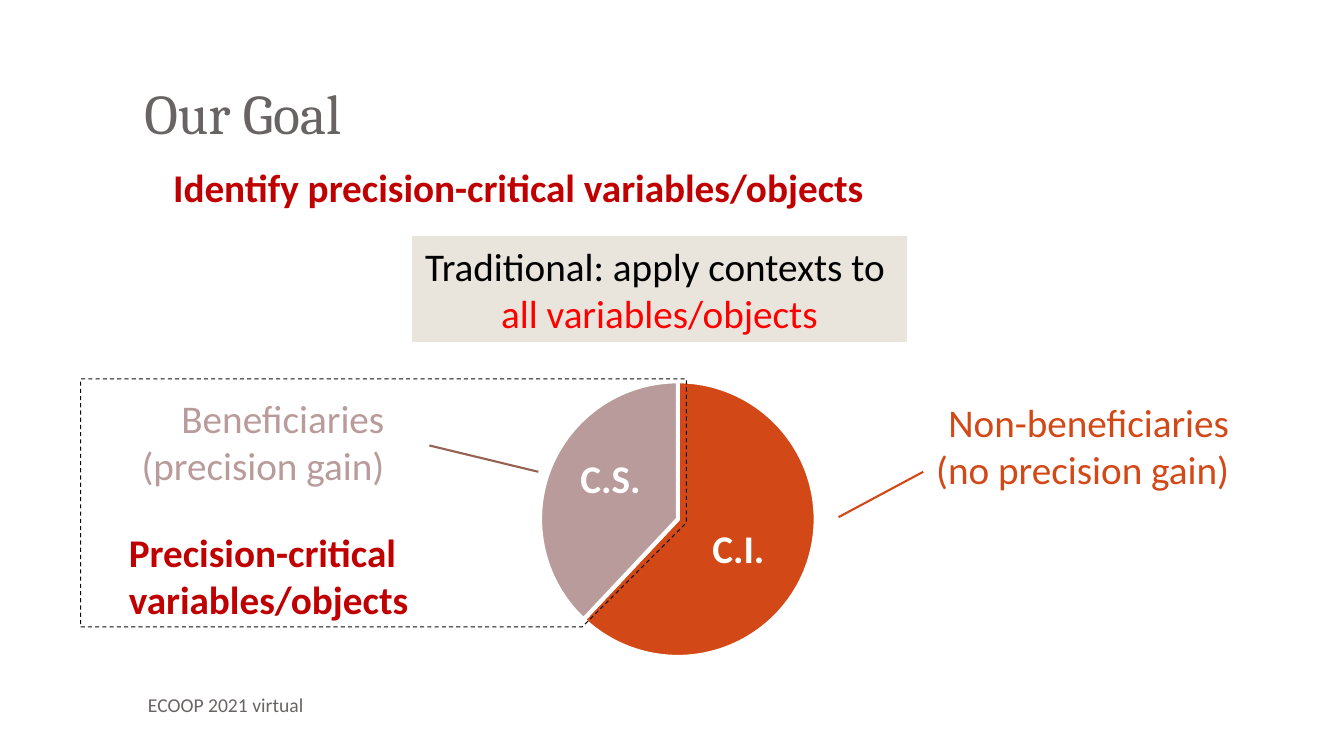
"""Build the "Our Goal" slide about precision-critical variables and objects."""
from dataclasses import dataclass

from lxml import etree
from pptx import Presentation
from pptx.chart.data import CategoryChartData
from pptx.dml.color import RGBColor as Color
from pptx.enum.chart import XL_CHART_TYPE as ChartType
from pptx.enum.dml import MSO_LINE as Dash
from pptx.enum.shapes import MSO_CONNECTOR as Connector, MSO_SHAPE as Preset
from pptx.enum.text import MSO_ANCHOR as Anchor, PP_ALIGN as Align
from pptx.oxml import parse_xml
from pptx.oxml.ns import nsdecls, qn
from pptx.util import Pt


@dataclass(frozen=True)
class Theme:
    heading_font: str = "Cambria"
    body_font: str = "Calibri"
    title_size: int = 40
    body_size: int = 28
    footer_size: int = 14
    chart_size: int = 10
    gray: str = "696464"
    black: str = "000000"
    white: str = "FFFFFF"
    red: str = "FF0000"
    crimson: str = "C00000"
    orange: str = "D34817"
    mauve: str = "B99B9B"
    brown: str = "956251"
    beige: str = "E9E5DC"
    outline: str = "0D0D0D"


theme = Theme()


def write(shape, lines, size=theme.body_size, font=theme.body_font, bold=False,
          align=Align.LEFT, anchor=Anchor.MIDDLE, wrap=True, right=7.2):
    """Fill a shape with (text, colour) lines."""
    frame = shape.text_frame
    frame.word_wrap = wrap
    frame.vertical_anchor = anchor
    frame.margin_right = Pt(right)
    for index, (text, color) in enumerate(lines):
        paragraph = frame.add_paragraph() if index else frame.paragraphs[0]
        paragraph.text = text
        paragraph.alignment = align
        paragraph.font.name = font
        paragraph.font.size = Pt(size)
        paragraph.font.bold = bold
        paragraph.font.color.rgb = Color.from_string(color)
    return frame


def add_text(left, top, width, height, lines, **style):
    """Add a text box holding (text, colour) lines."""
    box = slide.shapes.add_textbox(Pt(left), Pt(top), Pt(width), Pt(height))
    return write(box, lines, **style)


presentation = Presentation()
presentation.slide_width, presentation.slide_height = Pt(960), Pt(540)
slide = presentation.slides.add_slide(presentation.slide_layouts[6])

title = add_text(96, 21.6, 816, 90, [("Our Goal", theme.gray)], size=theme.title_size,
                 font=theme.heading_font, anchor=Anchor.BOTTOM)
title.margin_bottom = Pt(7.2)
add_text(98.6, 485.3, 416, 36, [("ECOOP 2021 virtual", theme.gray)], size=theme.footer_size)

banner = slide.shapes.add_shape(Preset.RECTANGLE, Pt(294.5), Pt(169.2), Pt(353), Pt(75))
banner.shadow.inherit = False
banner.fill.solid()
banner.fill.fore_color.rgb = Color.from_string(theme.beige)
banner.line.color.rgb = Color.from_string(theme.beige)
banner.line.width = Pt(0.75)
write(banner, [("Traditional: apply contexts to ", theme.black),
               ("all variables/objects", theme.red)], align=Align.CENTER, wrap=False)

shares = CategoryChartData()
shares.categories = ["1", "2"]
shares.add_series("Series 1", (62, 38))
chart = slide.shapes.add_chart(ChartType.PIE, Pt(285.1), Pt(261.4), Pt(398.2), Pt(218.9),
                               shares).chart
chart.has_legend = False
chart.has_title = False
chart.font.name = theme.body_font
chart.font.size = Pt(theme.chart_size)
chart.font.color.rgb = Color.from_string(theme.black)
pie = chart.plots[0]
pie.vary_by_categories = False
for index, color in enumerate((theme.orange, theme.mauve)):
    slice_format = pie.series[0].points[index].format
    slice_format.fill.solid()
    slice_format.fill.fore_color.rgb = Color.from_string(color)
    slice_format.line.color.rgb = Color.from_string(theme.white)
    slice_format.line.width = Pt(3)
plot_area = chart.element.find(".//" + qn("c:plotArea"))
for layout in plot_area.findall(qn("c:layout")):
    plot_area.remove(layout)
plot_area.insert(0, parse_xml(
    f'<c:layout {nsdecls("c")}><c:manualLayout><c:layoutTarget val="inner"/>'
    '<c:xMode val="edge"/><c:yMode val="edge"/><c:x val="0.25"/><c:y val="0.05"/>'
    '<c:w val="0.5"/><c:h val="0.9"/></c:manualLayout></c:layout>'))

for start_x, start_y, end_x, end_y, color in (
    (599, 369.4, 659.5, 337, theme.orange),
    (384.5, 337, 306.7, 318.2, theme.brown),
):
    pointer = slide.shapes.add_connector(Connector.STRAIGHT, Pt(start_x), Pt(start_y),
                                         Pt(end_x), Pt(end_y))
    pointer.line.color.rgb = Color.from_string(color)
    pointer.line.width = Pt(1.5)
    etree.SubElement(pointer.element.spPr, qn("a:effectLst"))

for left, top, width, right, color, lines in (
    (656.6, 280.8, 233.3, 12, theme.orange, ("Non-beneficiaries", "(no precision gain)")),
    (58.3, 277.9, 259.2, 43, theme.mauve, ("Beneficiaries", "(precision gain)")),
):
    add_text(left, top, width, 75, [(line, color) for line in lines],
             align=Align.RIGHT, right=right)

for left, top, width, text, color in (
    (116.6, 113, 514, "Identify precision-critical variables/objects", theme.crimson),
    (407.5, 321.1, 58.3, "C.S.", theme.white),
    (501.8, 370.8, 52.6, "C.I.", theme.white),
):
    add_text(left, top, width, 41, [(text, color)], bold=True, wrap=False)

critical_region = slide.shapes.add_shape(Preset.SNIP_1_RECTANGLE, Pt(57.6), Pt(270.7),
                                         Pt(432.7), Pt(177.1))
critical_region.adjustments[0] = 0.42
critical_region.element.spPr.find(qn("a:xfrm")).set("flipV", "1")
critical_region.shadow.inherit = False
critical_region.fill.background()
critical_region.line.color.rgb = Color.from_string(theme.outline)
critical_region.line.width = Pt(0.75)
critical_region.line.dash_style = Dash.DASH

add_text(85, 373.7, 239.8, 75, [("Precision-critical variables/objects", theme.crimson)],
         bold=True, anchor=Anchor.TOP)

presentation.save("out.pptx")
